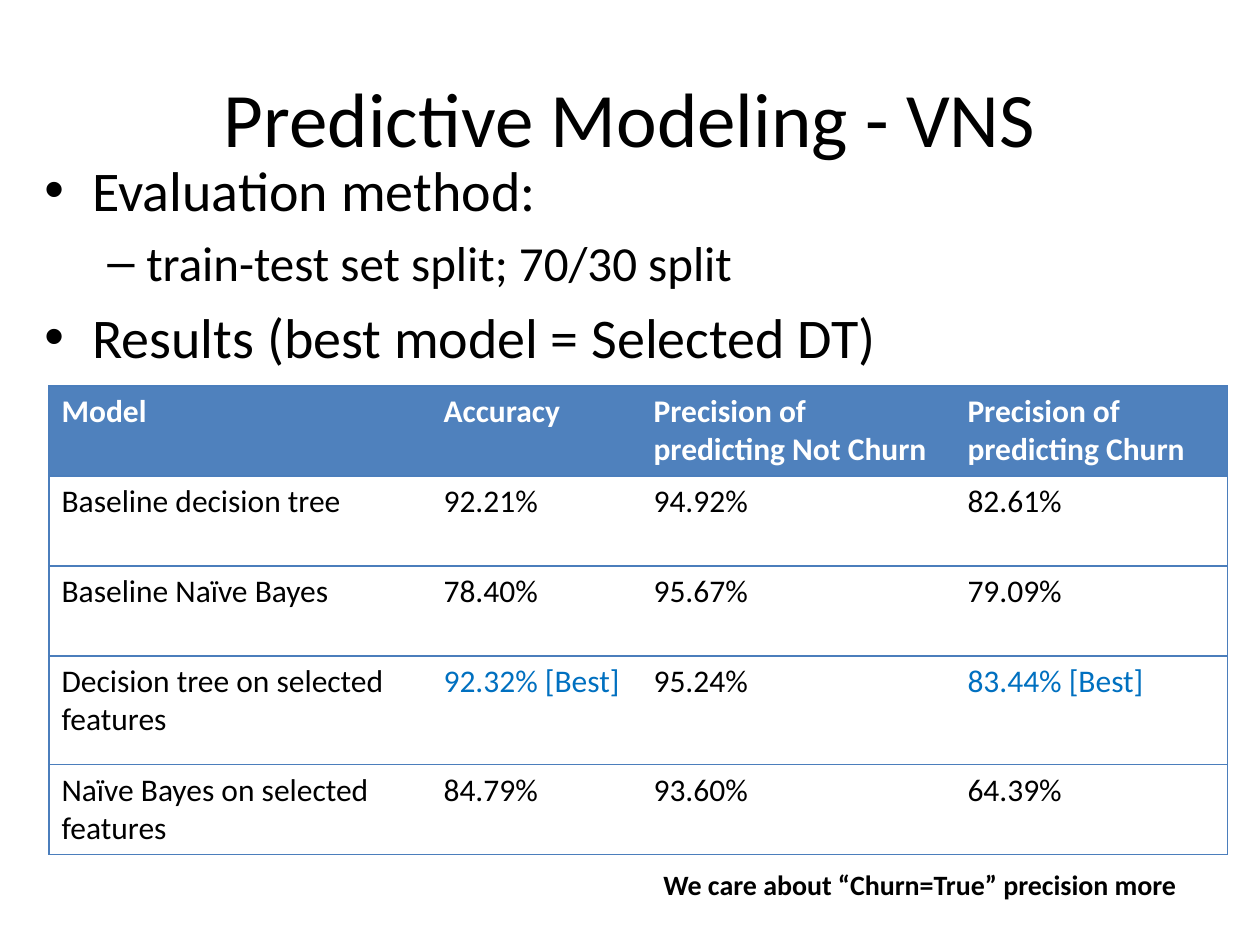
import pptx
import pptx.util
import pptx.dml.color
import pptx.enum.text
import pptx.oxml.ns
import lxml.etree

EMU_PER_PX = 7257
FONT = "Calibri"
BLACK = "000000"
WHITE = "FFFFFF"
HEADER_BLUE = "4F81BD"
BORDER_BLUE = "4B7EBC"
BEST_BLUE = "0070C0"
COLUMN_WIDTHS = [382, 210, 314, 273]
ROW_HEIGHTS = [90, 90, 90, 109, 90]
RESULTS = [
    ["Model", "Accuracy", "Precision of predicting Not Churn", "Precision of predicting Churn"],
    ["Baseline decision tree", "92.21%", "94.92%", "82.61%"],
    ["Baseline Naïve Bayes", "78.40%", "95.67%", "79.09%"],
    ["Decision tree on selected features", "92.32% [Best]", "95.24%", "83.44% [Best]"],
    ["Naïve Bayes on selected features", "84.79%", "93.60%", "64.39%"],
]
OUTLINE = [
    ("Evaluation method:", 0),
    ("train-test set split; 70/30 split", 1),
    ("Results (best model = Selected DT)", 0),
]
LEVEL_STYLES = [("•", 32, 48, 48), ("–", 28, 102, 39)]


def px(length):
    return pptx.util.Emu(length * EMU_PER_PX)


def colour(value):
    return pptx.dml.color.RGBColor.from_string(value)


def format_runs(paragraph, size, text_colour=BLACK, bold=False):
    for run in paragraph.runs:
        run.font.name = FONT
        run.font.size = pptx.util.Pt(size)
        run.font.bold = bold
        run.font.color.rgb = colour(text_colour)


def add_child(parent, tag, **attributes):
    return lxml.etree.SubElement(parent, pptx.oxml.ns.qn(tag), **attributes)


def set_title(slide, text, left, top, width, height):
    title = slide.shapes.title
    title.left, title.top, title.width, title.height = map(px, (left, top, width, height))
    title.text_frame.text = text
    title.text_frame.vertical_anchor = pptx.enum.text.MSO_ANCHOR.MIDDLE
    paragraph = title.text_frame.paragraphs[0]
    paragraph.alignment = pptx.enum.text.PP_ALIGN.CENTER
    format_runs(paragraph, 44)


def add_text_box(slide, text, left, top, width, height):
    text_box = slide.shapes.add_textbox(*map(px, (left, top, width, height)))
    text_frame = text_box.text_frame
    text_frame.word_wrap = True
    text_frame.text = text
    return text_frame


def add_outline(slide, items, left, top, width, height):
    text = "\n".join(item for item, level in items)
    text_frame = add_text_box(slide, text, left, top, width, height)
    for paragraph, (item, level) in zip(text_frame.paragraphs, items):
        bullet, size, margin, hanging = LEVEL_STYLES[level]
        paragraph.level = level
        paragraph.space_before = pptx.util.Pt(size * 0.2)
        format_runs(paragraph, size)
        properties = paragraph._p.get_or_add_pPr()
        properties.set("marL", str(px(margin)))
        properties.set("indent", str(px(-hanging)))
        add_child(properties, "a:buFont", typeface="Arial")
        add_child(properties, "a:buChar", char=bullet)


def set_borders(cell, visible_sides):
    properties = cell._tc.get_or_add_tcPr()
    for side in "LRTB":
        line = add_child(properties, f"a:ln{side}", w=str(pptx.util.Pt(0.75)))
        if side in visible_sides:
            fill = add_child(line, "a:solidFill")
            add_child(fill, "a:srgbClr", val=BORDER_BLUE)
        else:
            add_child(line, "a:noFill")


def format_cell(cell, text, is_header, visible_sides):
    set_borders(cell, visible_sides)
    cell.fill.solid()
    cell.fill.fore_color.rgb = colour(HEADER_BLUE if is_header else WHITE)
    cell.text_frame.text = text
    text_colour = WHITE if is_header else BEST_BLUE if "[Best]" in text else BLACK
    format_runs(cell.text_frame.paragraphs[0], 18, text_colour, is_header)


def add_results_table(slide, rows, left, top):
    width, height = sum(COLUMN_WIDTHS), sum(ROW_HEIGHTS)
    frame = slide.shapes.add_table(
        len(rows), len(COLUMN_WIDTHS), *map(px, (left, top, width, height))
    )
    table = frame.table
    table.horz_banding = False
    for column, column_width in zip(table.columns, COLUMN_WIDTHS):
        column.width = px(column_width)
    for row, row_height in zip(table.rows, ROW_HEIGHTS):
        row.height = px(row_height)
    outer_sides = {0: "L", len(COLUMN_WIDTHS) - 1: "R"}
    for row_index, texts in enumerate(rows):
        for column_index, text in enumerate(texts):
            sides = "TB" + outer_sides.get(column_index, "")
            format_cell(table.cell(row_index, column_index), text, row_index == 0, sides)


def main():
    presentation = pptx.Presentation()
    presentation.slide_width = pptx.util.Inches(10)
    presentation.slide_height = pptx.util.Inches(7.5)
    slide = presentation.slides.add_slide(presentation.slide_layouts[5])
    set_title(slide, "Predictive Modeling - VNS", 63, 38, 1134, 158)
    add_outline(slide, OUTLINE, 32, 149, 1197, 624)
    add_results_table(slide, RESULTS, 49, 386)
    note = add_text_box(slide, "We care about “Churn=True” precision more", 651, 861, 564, 46)
    format_runs(note.paragraphs[0], 16, bold=True)
    presentation.save("out.pptx")


if __name__ == "__main__":
    main()
